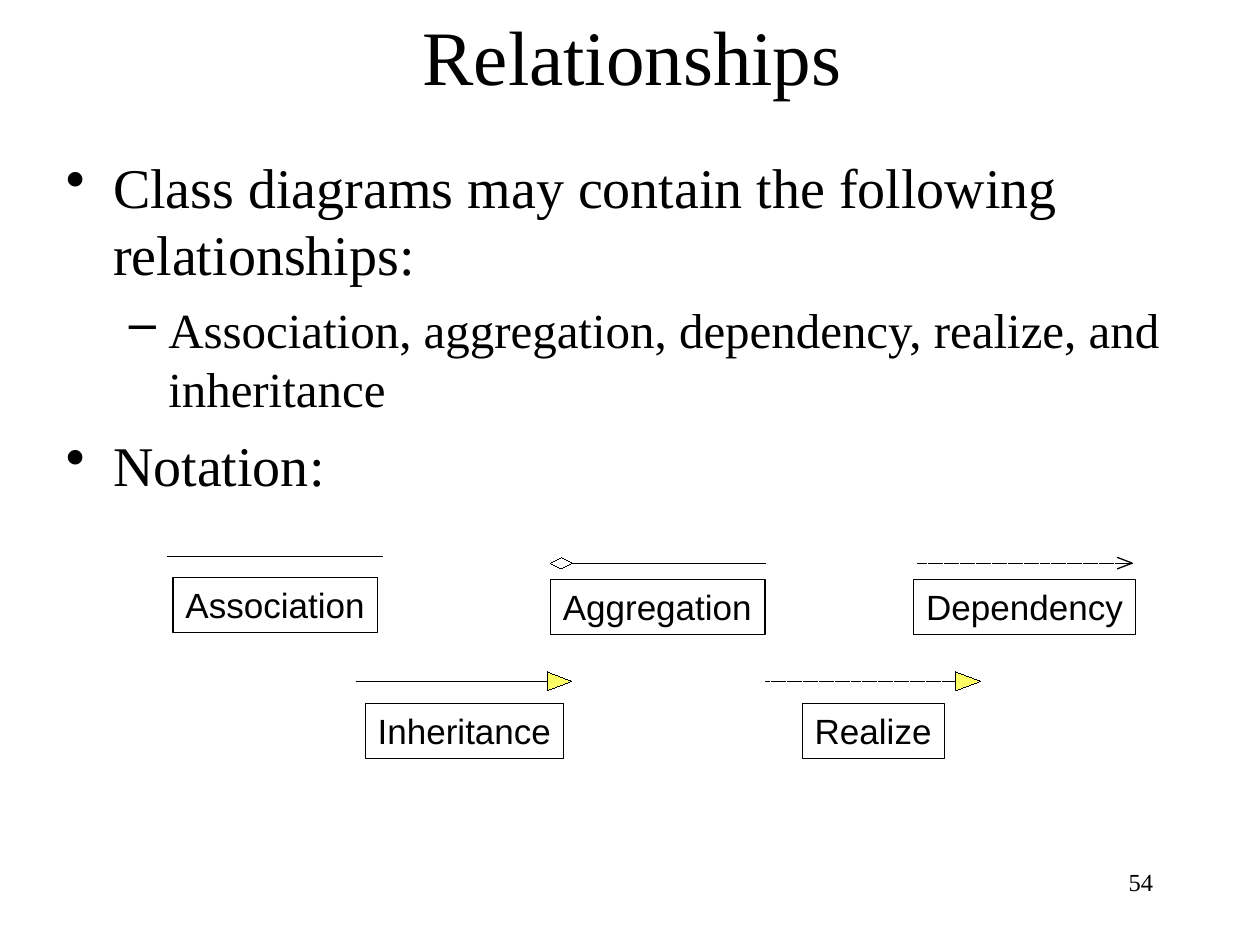
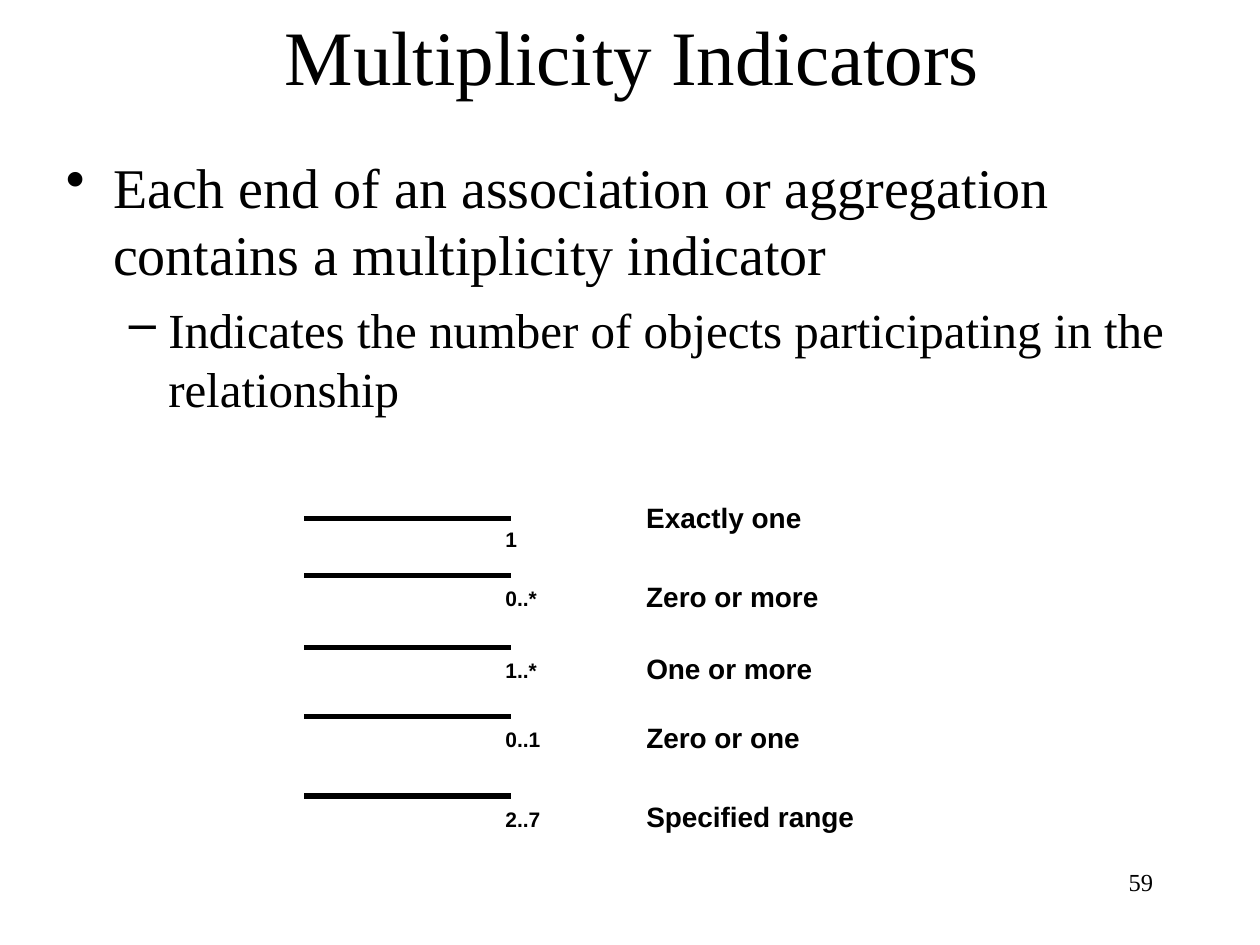
from dataclasses import dataclass

from lxml import etree
from pptx import Presentation
from pptx.dml.color import RGBColor
from pptx.enum.dml import MSO_LINE
from pptx.enum.shapes import MSO_CONNECTOR, MSO_SHAPE
from pptx.enum.text import MSO_ANCHOR, MSO_AUTO_SIZE, PP_ALIGN
from pptx.oxml.ns import qn
from pptx.util import Pt

STRAIGHT = MSO_CONNECTOR.STRAIGHT
RECTANGLE = MSO_SHAPE.RECTANGLE
DASHED = MSO_LINE.SQUARE_DOT
TOP, MIDDLE = MSO_ANCHOR.TOP, MSO_ANCHOR.MIDDLE
LEFT, CENTER, RIGHT = PP_ALIGN.LEFT, PP_ALIGN.CENTER, PP_ALIGN.RIGHT

COLORS = {"ink": "000000", "paper": "FFFFFF", "arrow": "FFFF66"}
SERIF, SANS = "Times New Roman", "Arial"
HAIRLINE = 0.01
THIN = 0.75
THICK = 3
SYMBOL_LENGTH = 122.8


@dataclass(frozen=True)
class BulletStyle:
    mark: str
    size: float
    indent: float
    hanging: float
    space_before: float


@dataclass(frozen=True)
class Relationship:
    name: str
    left: float
    line_y: float
    label_top: float
    label_width: float
    end: str = ""
    dashed: bool = False


@dataclass(frozen=True)
class Multiplicity:
    indicator: str
    indicator_width: float
    meaning: str
    meaning_width: float
    line_y: float
    indicator_gap: float = 2.2
    meaning_gap: float = -1.4


BULLETS = (
    BulletStyle("•", 32, 27, 27, 8),
    BulletStyle("–", 28, 58.5, 22.5, 7),
)

RELATIONSHIPS = (
    Relationship("Association", 95.9, 318.1, 329.8, 116.8),
    Relationship("Aggregation", 314.4, 321.8, 331, 122.6, "diamond"),
    Relationship("Dependency", 524.2, 321.8, 331, 126.9, "open", True),
    Relationship("Inheritance", 204, 389.3, 401.9, 113.3, "triangle"),
    Relationship("Realize", 437.6, 389.3, 401.9, 81.1, "triangle", True),
)

MULTIPLICITIES = (
    Multiplicity("1", 20.9, "Exactly one", 103, 296.4, 1, -14),
    Multiplicity("0..*", 32.4, "Zero or more", 113, 329),
    Multiplicity("1..*", 32.4, "One or more", 109.4, 370),
    Multiplicity("0..1", 34.6, "Zero or one", 102.2, 409.6),
    Multiplicity("2..7", 34.6, "Specified range", 133.2, 454.9),
)


def color(name: str) -> RGBColor:
    return RGBColor.from_string(COLORS[name])


def format_text(paragraph, text: str, *, size: float, font: str = SERIF,
                bold: bool = False, align=LEFT) -> None:
    paragraph.alignment = align
    run = paragraph.add_run()
    run.text = text
    run.font.name = font
    run.font.size = Pt(size)
    run.font.bold = bold
    run.font.color.rgb = color("ink")


def prepare_frame(shape, *, anchor=TOP, wrap: bool = True,
                  inset_x: float = 7.2, inset_y: float = 3.6):
    frame = shape.text_frame
    frame.margin_left = frame.margin_right = Pt(inset_x)
    frame.margin_top = frame.margin_bottom = Pt(inset_y)
    frame.vertical_anchor = anchor
    frame.word_wrap = wrap
    frame.auto_size = MSO_AUTO_SIZE.NONE if wrap else MSO_AUTO_SIZE.SHAPE_TO_FIT_TEXT
    return frame


def add_text(slide, text: str, left: float, top: float, width: float, height: float,
             *, anchor=TOP, wrap: bool = True, **text_format) -> None:
    shape = slide.shapes.add_textbox(Pt(left), Pt(top), Pt(width), Pt(height))
    frame = prepare_frame(shape, anchor=anchor, wrap=wrap)
    format_text(frame.paragraphs[0], text, **text_format)


def add_line(slide, x1: float, y1: float, x2: float, y2: float,
             *, width: float = HAIRLINE, dashed: bool = False) -> None:
    line = slide.shapes.add_connector(STRAIGHT, Pt(x1), Pt(y1), Pt(x2), Pt(y2))
    line.line.color.rgb = color("ink")
    line.line.width = Pt(width)
    if dashed:
        line.line.dash_style = DASHED
    properties = line._element.spPr
    etree.SubElement(properties, qn("a:effectLst"))


def add_outline(slide, points: list[tuple[float, float]], fill: str) -> None:
    vertices = [(Pt(x), Pt(y)) for x, y in points]
    builder = slide.shapes.build_freeform(*vertices[0], scale=1.0)
    builder.add_line_segments(vertices[1:], close=True)
    shape = builder.convert_to_shape()
    shape.shadow.inherit = False
    shape.fill.solid()
    shape.fill.fore_color.rgb = color(fill)
    shape.line.color.rgb = color("ink")
    shape.line.width = Pt(HAIRLINE)


def add_bullets(slide, items: list[tuple[int, str]]) -> None:
    shape = slide.shapes.add_textbox(Pt(28.8), Pt(82.8), Pt(668.9), Pt(397.4))
    frame = prepare_frame(shape, inset_x=8.85, inset_y=4.4)
    for index, (level, text) in enumerate(items):
        style = BULLETS[level]
        paragraph = frame.add_paragraph() if index else frame.paragraphs[0]
        paragraph.level = level
        paragraph.space_before = Pt(style.space_before)
        format_text(paragraph, text, size=style.size)
        properties = paragraph._p.get_or_add_pPr()
        properties.set("marL", str(Pt(style.indent)))
        properties.set("indent", str(-Pt(style.hanging)))
        bullet_color = etree.SubElement(properties, qn("a:buClr"))
        etree.SubElement(bullet_color, qn("a:srgbClr"), val=COLORS["ink"])
        etree.SubElement(properties, qn("a:buChar"), char=style.mark)


def add_base_slide(presentation, title: str, number: int, items: list[tuple[int, str]]):
    slide = presentation.slides.add_slide(presentation.slide_layouts[6])
    add_text(slide, title, 7.2, 10.1, 708.5, 41.8, anchor=MIDDLE, size=44, align=CENTER)
    add_bullets(slide, items)
    add_text(slide, str(number), 516.2, 491.8, 149.8, 36, size=14, align=RIGHT)
    return slide


def add_relationship(slide, item: Relationship) -> None:
    right, y = item.left + SYMBOL_LENGTH, item.line_y
    add_line(slide, item.left, y, right, y, dashed=item.dashed)
    if item.end == "diamond":
        add_outline(slide, [(item.left, y), (item.left + 6.3, y + 3.3),
                            (item.left + 12.6, y), (item.left + 6.3, y - 3.3)], "paper")
    elif item.end == "triangle":
        add_outline(slide, [(right, y), (right - 14.2, y + 5.4),
                            (right - 14.2, y - 5.4)], "arrow")
    elif item.end == "open":
        for offset in (3.3, -3.3):
            add_line(slide, right, y, right - 8.6, y + offset, width=THIN)

    label_left = item.left + (SYMBOL_LENGTH - item.label_width) / 2
    label = slide.shapes.add_shape(RECTANGLE, Pt(label_left), Pt(item.label_top),
                                   Pt(item.label_width), Pt(31.5))
    label.shadow.inherit = False
    label.fill.background()
    label.line.color.rgb = color("ink")
    label.line.width = Pt(THIN)
    frame = prepare_frame(label, wrap=False)
    format_text(frame.paragraphs[0], item.name, size=20, font=SANS)


def add_multiplicity(slide, item: Multiplicity) -> None:
    y = item.line_y
    add_line(slide, 174, y, 292, y, width=THICK)
    add_text(slide, item.indicator, 281.7, y + item.indicator_gap, item.indicator_width,
             21.8, wrap=False, size=12, font=SANS, bold=True)
    add_text(slide, item.meaning, 362.2, y + item.meaning_gap, item.meaning_width,
             26.5, wrap=False, size=16, font=SANS, bold=True)


def build_relationships(presentation) -> None:
    slide = add_base_slide(presentation, "Relationships", 54, [
        (0, "Class diagrams may contain the following relationships:"),
        (1, "Association, aggregation, dependency, realize, and inheritance"),
        (0, "Notation:"),
    ])
    for item in RELATIONSHIPS:
        add_relationship(slide, item)


def build_multiplicities(presentation) -> None:
    slide = add_base_slide(presentation, "Multiplicity Indicators", 59, [
        (0, "Each end of an association or aggregation contains a multiplicity indicator"),
        (1, "Indicates the number of objects participating in the relationship"),
    ])
    for item in MULTIPLICITIES:
        add_multiplicity(slide, item)


def main() -> None:
    presentation = Presentation()
    presentation.slide_width = Pt(720)
    presentation.slide_height = Pt(540)
    build_relationships(presentation)
    build_multiplicities(presentation)
    presentation.save("out.pptx")


if __name__ == "__main__":
    main()
